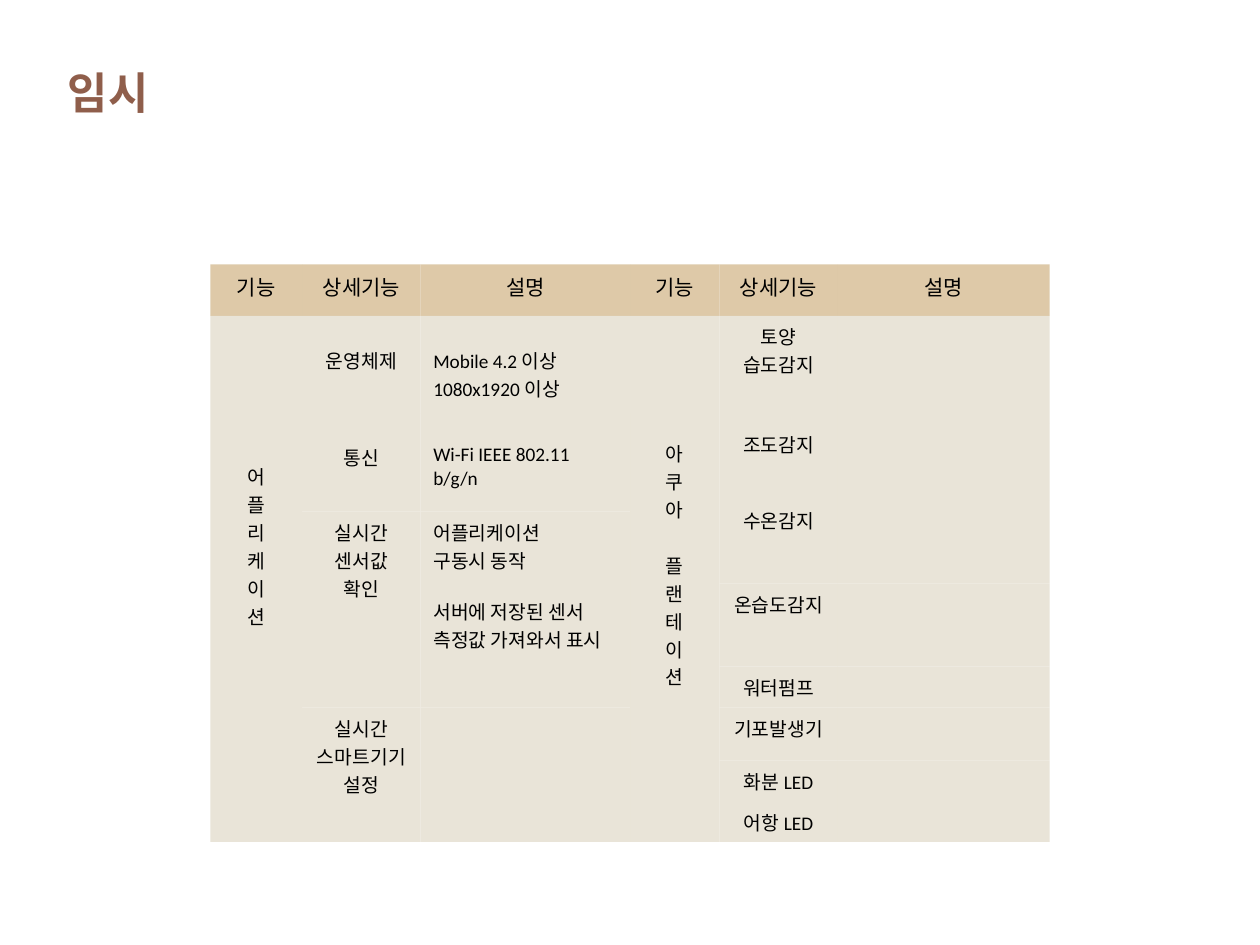
import dataclasses

import lxml.etree
import pptx
import pptx.dml.color
import pptx.enum.text
import pptx.oxml.ns
import pptx.util

Cm = pptx.util.Cm
Pt = pptx.util.Pt
RGB = pptx.dml.color.RGBColor.from_string
ALIGN = pptx.enum.text.PP_ALIGN
qn = pptx.oxml.ns.qn


@dataclasses.dataclass(frozen=True)
class Theme:
    font: str = "Calibri"
    title: str = "8F5E4B"
    text: str = "000000"
    header: str = "DDC8A6"
    body: str = "E9E4D7"
    border: str = "C09D6C"
    opacity: int = 97
    title_size: int = 25
    header_size: int = 12
    body_size: int = 11


THEME = Theme()
NO_STYLE = "{2D5ABB26-0587-4C30-8999-92F81FD0307C}"
COLUMNS = [1.85, 2.39, 4.22, 1.8, 2.39, 4.27]
ROWS = [1.04, 1.96, 0.2, 1.55, 0.23, 1.45, 1.68, 0.82, 0, 1.07, 0.82, 0.82]
HEADINGS = ["기능", "상세기능", "설명"] * 2
INSET = 0.13
LINE = 0.47
DESCRIPTION = 2

# row, column, row span, lines of lead, paragraphs as (text, points before)
CELLS = [
    (1, 0, 11, 6, [("어\v플\v리\v케\v이\v션", 0)]),
    (1, 1, 1, 1, [("운영체제", 0)]),
    (1, 2, 1, 1, [("Mobile 4.2 이상", 0), ("1080x1920 이상", 0)]),
    (1, 3, 11, 5, [("아\v쿠\v아", 0), ("플\v랜\v테\v이\v션", 16)]),
    (2, 1, 3, 1, [("통신", 0)]),
    (2, 2, 3, 1, [("Wi-Fi IEEE 802.11 b/g/n", 0)]),
    (5, 1, 4, 0, [("실시간\v센서값", 0), ("확인", 0)]),
    (5, 2, 4, 0, [("어플리케이션", 0), ("구동시 동작", 0),
                  ("서버에 저장된 센서 측정값 가져와서 표시", 13.4)]),
    (9, 1, 3, 0, [("실시간", 0), ("스마트기기 설정", 0)]),
    (9, 2, 3, 0, []),
]
SENSORS = [
    (1, 2, ["토양", "습도감지"]),
    (3, 1, ["조도감지"]),
    (4, 2, ["수온감지"]),
    (6, 1, ["온습도감지"]),
    (7, 1, ["워터펌프"]),
    (8, 2, ["기포발생기"]),
    (10, 1, ["화분 LED"]),
    (11, 1, ["어항 LED"]),
]


def apply(target, values):
    for name, value in values.items():
        setattr(target, name, value)


def write(p, text, size, color, bold=False):
    p.text = text
    for r in p.runs:
        apply(r.font, {"name": THEME.font, "size": Pt(size), "bold": bold})
        r.font.color.rgb = RGB(color)


def add_title(s, text):
    tf = s.shapes.add_textbox(Cm(1.12), Cm(0.76), Cm(23.42), Cm(2.21)).text_frame
    apply(tf, {"word_wrap": True,
               "vertical_anchor": pptx.enum.text.MSO_ANCHOR.MIDDLE})
    write(tf.paragraphs[0], text, THEME.title_size, THEME.title, True)


def paint(cell, color):
    cell.fill.solid()
    cell.fill.fore_color.rgb = RGB(color)
    tc_pr = cell._tc.get_or_add_tcPr()
    rgb = tc_pr.find(".//" + qn("a:srgbClr"))
    lxml.etree.SubElement(rgb, qn("a:alpha"), val=str(THEME.opacity * 1000))
    for i, side in enumerate(["lnL", "lnR", "lnT", "lnB"]):
        ln = lxml.etree.Element(qn("a:" + side), w="0")
        fill = lxml.etree.SubElement(ln, qn("a:solidFill"))
        lxml.etree.SubElement(fill, qn("a:srgbClr"), val=THEME.border)
        tc_pr.insert(i, ln)


def fill_cell(cell, paragraphs, size, color, align, lead=0):
    paint(cell, color)
    cell.margin_top = Cm(round(INSET + lead * LINE, 2))
    tf = cell.text_frame
    if not paragraphs:
        lxml.etree.SubElement(tf.paragraphs[0]._p, qn("a:endParaRPr"),
                              sz=str(size * 100))
    for i, (text, before) in enumerate(paragraphs):
        p = tf.add_paragraph() if i else tf.paragraphs[0]
        write(p, text, size, THEME.text)
        p.alignment = align
        if before:
            p.space_before = Pt(before)


def add_function_table(s):
    frame = s.shapes.add_table(len(ROWS), len(COLUMNS), Cm(4.24), Cm(5.33),
                               Cm(sum(COLUMNS)), Cm(sum(ROWS)))
    table = frame.table
    table._tbl.tblPr.find(qn("a:tableStyleId")).text = NO_STYLE
    for column, width in zip(table.columns, COLUMNS):
        column.width = Cm(width)
    for row, height in zip(table.rows, ROWS):
        row.height = Cm(height)
    for col, text in enumerate(HEADINGS):
        fill_cell(table.cell(0, col), [(text, 0)], THEME.header_size,
                  THEME.header, ALIGN.CENTER)
    sensors = [(row, 4, span, 0, [(text, 0) for text in lines])
               for row, span, lines in SENSORS]
    blanks = [(row, 5, span, 0, []) for row, span, _ in SENSORS]
    for row, col, span, lead, paragraphs in CELLS + sensors + blanks:
        cell = table.cell(row, col)
        if span > 1:
            cell.merge(table.cell(row + span - 1, col))
        align = ALIGN.LEFT if col == DESCRIPTION else ALIGN.CENTER
        fill_cell(cell, paragraphs, THEME.body_size, THEME.body, align, lead)


def main():
    prs = pptx.Presentation()
    apply(prs, {"slide_width": Cm(25.4), "slide_height": Cm(19.05)})
    s = prs.slides.add_slide(prs.slide_layouts[6])
    add_title(s, "임시")
    add_function_table(s)
    prs.save("out.pptx")


if __name__ == "__main__":
    main()
